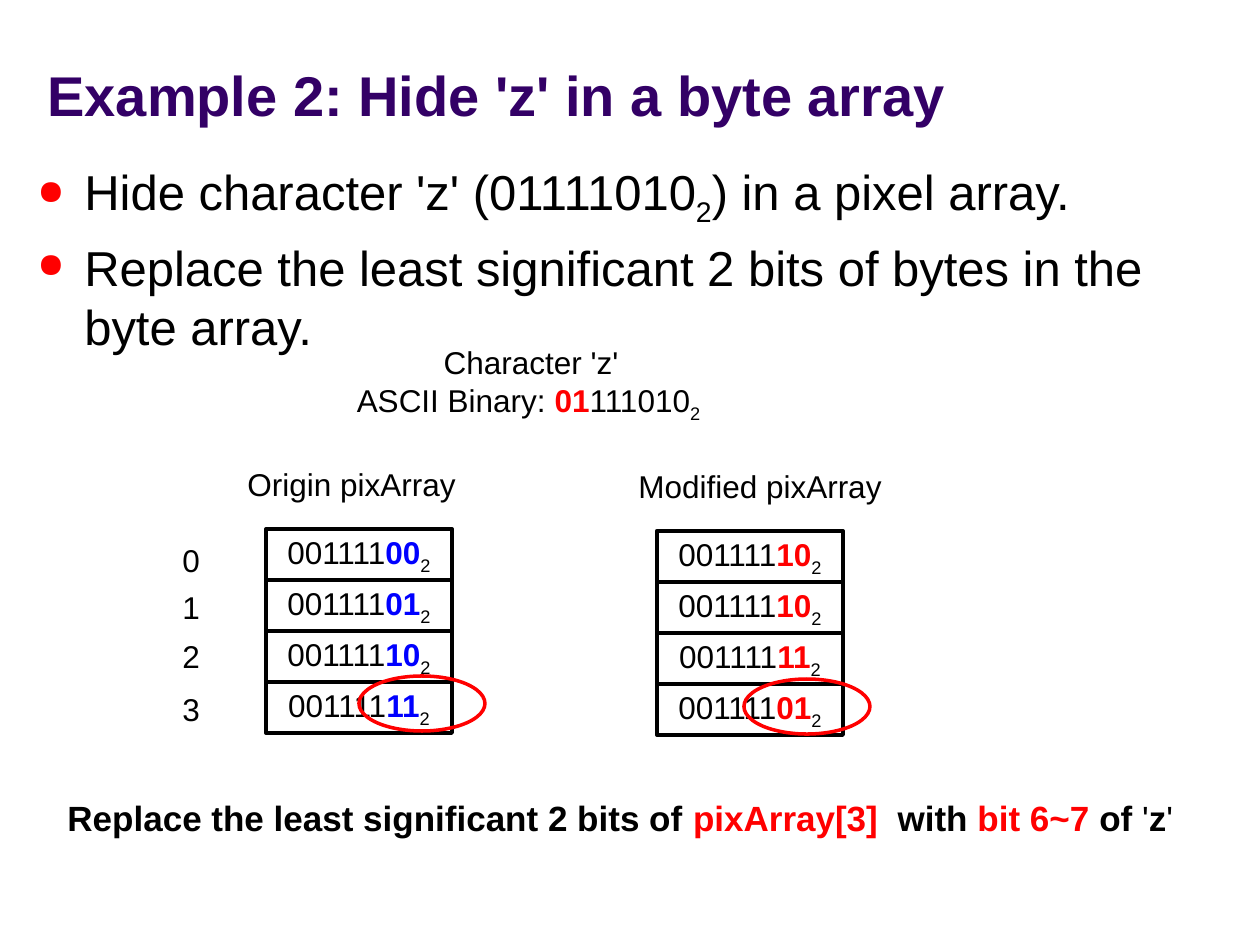
from lxml.etree import SubElement
from pptx import Presentation
from pptx.dml.color import RGBColor
from pptx.enum.shapes import MSO_SHAPE
from pptx.enum.text import MSO_ANCHOR, PP_ALIGN
from pptx.oxml.ns import qn
from pptx.util import Emu, Pt

EMU_PER_PX = 914400 / 126
BLACK, RED, BLUE, WHITE, PURPLE = "000000", "FF0000", "0000FF", "FFFFFF", "330066"


def px(length):
    return Emu(round(length * EMU_PER_PX))


def rgb(hex_code):
    return RGBColor.from_string(hex_code)


def part(text, color=BLACK, bold=False, sub=False):
    return text, color, bold, sub


def write_paragraph(paragraph, parts, size, align=PP_ALIGN.LEFT):
    paragraph.alignment = align
    paragraph.font.name = "Arial"
    paragraph.font.size = Pt(size)
    for text, color, bold, sub in parts:
        run = paragraph.add_run()
        run.text = text
        run.font.color.rgb = rgb(color)
        run.font.bold = bold
        if sub:
            run._r.get_or_add_rPr().set("baseline", "-25000")


def add_text(slide, box, lines, size, align=PP_ALIGN.LEFT, anchor=MSO_ANCHOR.TOP):
    frame = slide.shapes.add_textbox(*map(px, box)).text_frame
    frame.word_wrap = True
    frame.vertical_anchor = anchor
    for number, parts in enumerate(lines):
        paragraph = frame.add_paragraph() if number else frame.paragraphs[0]
        write_paragraph(paragraph, parts, size, align)
    return frame


def add_bullet(paragraph):
    paragraph.space_before = Pt(5.6)
    properties = paragraph._p.get_or_add_pPr()
    properties.set("marL", str(px(47)))
    properties.set("indent", str(px(-47)))
    marks = [SubElement(properties, qn("a:buClr")),
             SubElement(properties, qn("a:buSzPct"), val="70000"),
             SubElement(properties, qn("a:buChar"), char="●")]
    SubElement(marks[0], qn("a:srgbClr"), val=RED)
    default_font = properties.find(qn("a:defRPr"))
    for mark in marks:
        default_font.addprevious(mark)


def add_cell(slide, box, parts, outlined=True):
    cell = slide.shapes.add_shape(MSO_SHAPE.RECTANGLE, *map(px, box))
    cell.shadow.inherit = False
    cell.fill.solid()
    cell.fill.fore_color.rgb = rgb(WHITE)
    if outlined:
        cell.line.color.rgb = rgb(BLACK)
        cell.line.width = Pt(2.25)
    else:
        cell.line.fill.background()
    cell.text_frame.vertical_anchor = MSO_ANCHOR.MIDDLE
    write_paragraph(cell.text_frame.paragraphs[0], parts, 18, PP_ALIGN.CENTER)


def add_pixel_array(slide, left, top, low_bits, color):
    for row, bits in enumerate(low_bits):
        byte = [part("001111"), part(bits, color, True), part("2", sub=True)]
        add_cell(slide, (left, top + 51 * row, 186, 51), byte)


def add_ring(slide, left, top):
    ring = slide.shapes.add_shape(MSO_SHAPE.OVAL, px(left), px(top), px(126), px(55))
    ring.shadow.inherit = False
    ring.fill.background()
    ring.line.color.rgb = rgb(RED)
    ring.line.width = Pt(2)


def main():
    deck = Presentation()
    deck.slide_width, deck.slide_height = px(1260), px(945)
    slide = deck.slides.add_slide(deck.slide_layouts[6])

    add_text(slide, (35, 16, 1201, 118),
             [[part("Example 2: Hide 'z' in a byte array", PURPLE, True)]],
             32, anchor=MSO_ANCHOR.BOTTOM)

    steps = add_text(slide, (25, 155, 1221, 753), [
        [part("Hide character 'z' (01111010"), part("2", sub=True),
         part(") in a pixel array.")],
        [part("Replace the least significant 2 bits of bytes in the byte array.")],
    ], 28)
    for step in steps.paragraphs:
        add_bullet(step)

    add_pixel_array(slide, 266, 529, ["00", "01", "10", "11"], BLUE)
    add_text(slide, (235, 459, 236, 50), [[part("Origin pixArray")]], 18)
    for index, top in enumerate([534, 581, 630, 683]):
        add_cell(slide, (130, top, 122, 52), [part(str(index))], outlined=False)

    add_text(slide, (340, 337, 382, 90), [
        [part("Character 'z'")],
        [part("ASCII Binary: "), part("01", RED, True), part("111010"),
         part("2 ", sub=True)],
    ], 18, PP_ALIGN.CENTER)

    add_pixel_array(slide, 657, 531, ["10", "10", "11", "01"], RED)
    add_text(slide, (626, 461, 309, 50), [[part("Modified pixArray")]], 18)

    add_text(slide, (55, 790, 1176, 55), [[
        part("Replace the least significant 2 bits of ", bold=True),
        part("pixArray[3]  ", RED, True),
        part("with", bold=True),
        part(" bit 6~7 ", RED, True),
        part("of ", bold=True),
        part("'"),
        part("z", bold=True),
        part("'"),
    ]], 20)

    add_ring(slide, 359, 676)
    add_ring(slide, 744, 679)
    deck.save("out.pptx")


if __name__ == "__main__":
    main()
